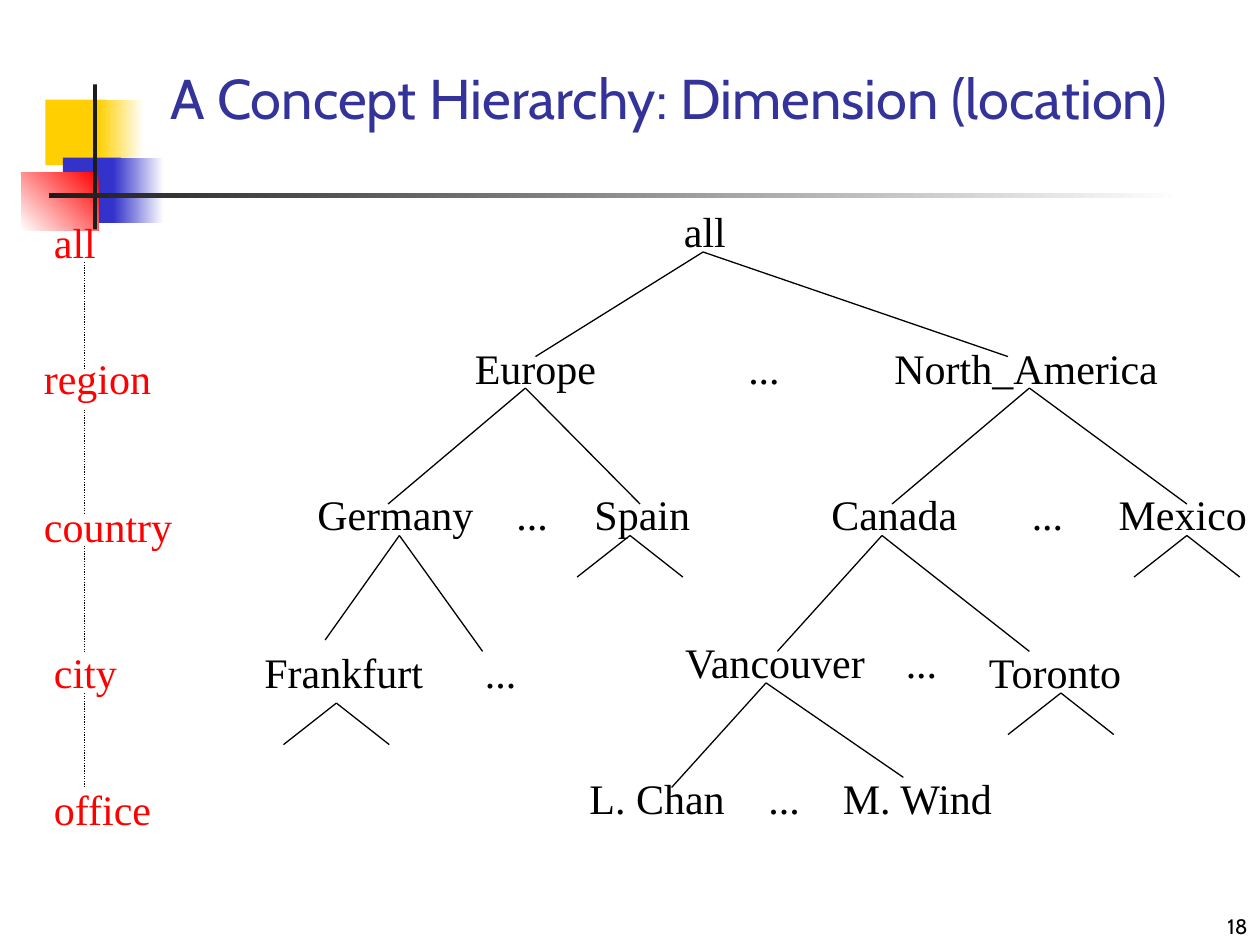
"""Build the concept hierarchy slide for the location dimension."""

from typing import NamedTuple, Optional

import pptx
import pptx.dml.color
import pptx.enum.dml
import pptx.enum.shapes
import pptx.enum.text
import pptx.oxml
import pptx.oxml.ns
import pptx.presentation
import pptx.slide
import pptx.text.text
import pptx.util

Inches = pptx.util.Inches
ANCHOR = pptx.enum.text.MSO_ANCHOR
ALIGN = pptx.enum.text.PP_ALIGN
BLACK, RED, CHARCOAL = "000000", "FF0000", "1C1C1C"
WHITE, YELLOW, BLUE, TITLE_BLUE = "FFFFFF", "FFCF01", "3333CC", "333399"
LABEL_HEIGHT = 0.5
DOTS_WIDTH = 0.45
LEVEL_AXIS = 0.67
TWIG_REACH, TWIG_DROP = 0.42, 0.33


class Block(NamedTuple):
    """A rectangle of the corner ornament, plain or fading to a second colour."""

    left: float
    top: float
    width: float
    height: float
    start: str
    end: Optional[str] = None
    angle: float = 180


class Label(NamedTuple):
    """A name in the tree or in the list of levels."""

    text: str
    left: float
    top: float
    width: float


class Fork(NamedTuple):
    """Two branches running from a parent to its outer children."""

    parent: tuple[float, float]
    left_child: tuple[float, float]
    right_child: tuple[float, float]


ORNAMENT = [
    Block(0.36, 0.79, 0.48, 0.52, YELLOW),
    Block(0.78, 0.79, 0.36, 0.52, WHITE, YELLOW),
    Block(0.5, 1.25, 0.46, 0.52, BLUE),
    Block(0.9, 1.25, 0.4, 0.52, WHITE, BLUE),
    Block(0.17, 1.37, 0.61, 0.46, RED, WHITE, 225),
    Block(0.74, 0.67, 0.03, 1.15, CHARCOAL),
    Block(0.39, 1.53, 9, 0.04, WHITE, CHARCOAL),
]
LEVELS = [
    Label("all", 0.33, 1.67, 0.53),
    Label("region", 0.25, 2.75, 1.05),
    Label("country", 0.25, 3.92, 1.22),
    Label("city", 0.33, 5.08, 0.7),
    Label("office", 0.33, 6.17, 0.97),
]
MEMBERS = [
    Label("all", 5.33, 1.58, 0.53),
    Label("Europe", 3.67, 2.67, 1.16),
    Label("North_America", 7, 2.67, 2.29),
    Label("Germany", 2.42, 3.83, 1.44),
    Label("Spain", 4.62, 3.83, 0.96),
    Label("Canada", 6.5, 3.83, 1.2),
    Label("Mexico", 8.78, 3.83, 1.22),
    Label("Frankfurt", 2, 5.08, 1.46),
    Label("Vancouver", 5.34, 5, 1.66),
    Label("Toronto", 7.75, 5.08, 1.27),
    Label("L. Chan", 4.58, 6.08, 1.3),
    Label("M. Wind", 6.59, 6.08, 1.42),
]
OMITTED_MEMBERS = [(5.84, 2.67), (4, 3.83), (8.09, 3.83), (3.75, 5.08), (7.09, 5), (6, 6.08)]
FORKS = [
    Fork((5.58, 2), (4.25, 2.83), (8, 2.83)),
    Fork((4.17, 3.08), (3.08, 4), (5.08, 4)),
    Fork((8.17, 3.08), (7.08, 4), (9.42, 4)),
    Fork((3.17, 4.25), (2.58, 5.08), (3.83, 5.17)),
    Fork((7, 4.25), (6.17, 5.17), (8.17, 5.17)),
    Fork((6.08, 5.42), (5.33, 6.25), (7.17, 6.17)),
]
TWIG_TOPS = [(5, 4.25), (9.42, 4.25), (2.67, 5.58), (8.42, 5.5)]
LEVEL_GAPS = [(2.08, 2.92), (3.25, 4.08), (4.33, 5.17), (5.5, 6.25)]


def rgb(color: str) -> pptx.dml.color.RGBColor:
    """Turn a hex string into a colour."""
    return pptx.dml.color.RGBColor.from_string(color)


def write(frame: pptx.text.text.TextFrame, text: str, *, size: float = 24,
          font: str = "Times New Roman", color: str = BLACK, align: ALIGN = ALIGN.LEFT,
          anchor: ANCHOR = ANCHOR.TOP, wrap: bool = False) -> None:
    """Put formatted text into a frame."""
    frame.text = text
    frame.word_wrap = wrap
    frame.vertical_anchor = anchor
    fit = pptx.enum.text.MSO_AUTO_SIZE
    frame.auto_size = fit.NONE if wrap else fit.SHAPE_TO_FIT_TEXT
    paragraph = frame.paragraphs[0]
    paragraph.alignment = align
    style = paragraph.runs[0].font
    style.size, style.name = pptx.util.Pt(size), font
    style.color.rgb = rgb(color)


def draw_block(slide: pptx.slide.Slide, block: Block) -> None:
    """Draw one rectangle of the ornament."""
    rectangle = slide.shapes.add_shape(
        pptx.enum.shapes.MSO_SHAPE.RECTANGLE, Inches(block.left), Inches(block.top),
        Inches(block.width), Inches(block.height))
    rectangle.shadow.inherit = False
    rectangle.line.fill.background()
    if block.end is None:
        rectangle.fill.solid()
        rectangle.fill.fore_color.rgb = rgb(block.start)
        return
    rectangle.fill.gradient()
    rectangle.fill.gradient_angle = block.angle
    for stop, position, color in zip(rectangle.fill.gradient_stops, (0, 1),
                                     (block.start, block.end)):
        stop.position = position
        stop.color.rgb = rgb(color)


def draw_label(slide: pptx.slide.Slide, label: Label, color: str = BLACK) -> None:
    """Draw one name."""
    box = slide.shapes.add_textbox(Inches(label.left), Inches(label.top),
                                   Inches(label.width), Inches(LABEL_HEIGHT))
    write(box.text_frame, label.text, color=color)


def draw_line(slide: pptx.slide.Slide, start: tuple[float, float],
              end: tuple[float, float], dotted: bool = False) -> None:
    """Draw a thin straight line."""
    line = slide.shapes.add_connector(pptx.enum.shapes.MSO_CONNECTOR.STRAIGHT,
                                      *map(Inches, start + end))
    line.line.width = pptx.util.Pt(0.75)
    line.line.color.rgb = rgb(BLACK)
    if dotted:
        line.line.dash_style = pptx.enum.dml.MSO_LINE.ROUND_DOT
    properties = line._element.spPr
    properties.append(pptx.oxml.parse_xml(
        f"<a:effectLst {pptx.oxml.ns.nsdecls('a')}/>"))


def draw_fork(slide: pptx.slide.Slide, fork: Fork) -> None:
    """Draw both branches of a fork."""
    for child in (fork.left_child, fork.right_child):
        draw_line(slide, fork.parent, child)


def twig(x: float, y: float) -> Fork:
    """Return the short fork below a member whose children are left out."""
    bottom = y + TWIG_DROP
    return Fork((x, y), (x - TWIG_REACH, bottom), (x + TWIG_REACH, bottom))


def build() -> pptx.presentation.Presentation:
    """Build the presentation."""
    deck = pptx.Presentation()
    deck.slide_width, deck.slide_height = Inches(10), Inches(7.5)
    slide = deck.slides.add_slide(deck.slide_layouts.get_by_name("Title Only"))
    for block in ORNAMENT:
        draw_block(slide, block)
    title = slide.shapes.title
    title.left, title.top = Inches(1.25), Inches(0.42)
    title.width, title.height = Inches(8.75), Inches(0.67)
    write(title.text_frame, "A Concept Hierarchy: Dimension (location)", size=32,
          font="Cabin", color=TITLE_BLUE, anchor=ANCHOR.BOTTOM, wrap=True)
    for member in MEMBERS:
        draw_label(slide, member)
    for left, top in OMITTED_MEMBERS:
        draw_label(slide, Label("...", left, top, DOTS_WIDTH))
    for fork in FORKS + [twig(*top) for top in TWIG_TOPS]:
        draw_fork(slide, fork)
    for level in LEVELS:
        draw_label(slide, level, RED)
    for top, bottom in LEVEL_GAPS:
        draw_line(slide, (LEVEL_AXIS, top), (LEVEL_AXIS, bottom), dotted=True)
    page_number = slide.shapes.add_textbox(Inches(7.92), Inches(7), Inches(2.08), Inches(0.5))
    write(page_number.text_frame, "18", size=12, font="Cabin", align=ALIGN.RIGHT,
          anchor=ANCHOR.BOTTOM, wrap=True)
    return deck


if __name__ == "__main__":
    build().save("out.pptx")
